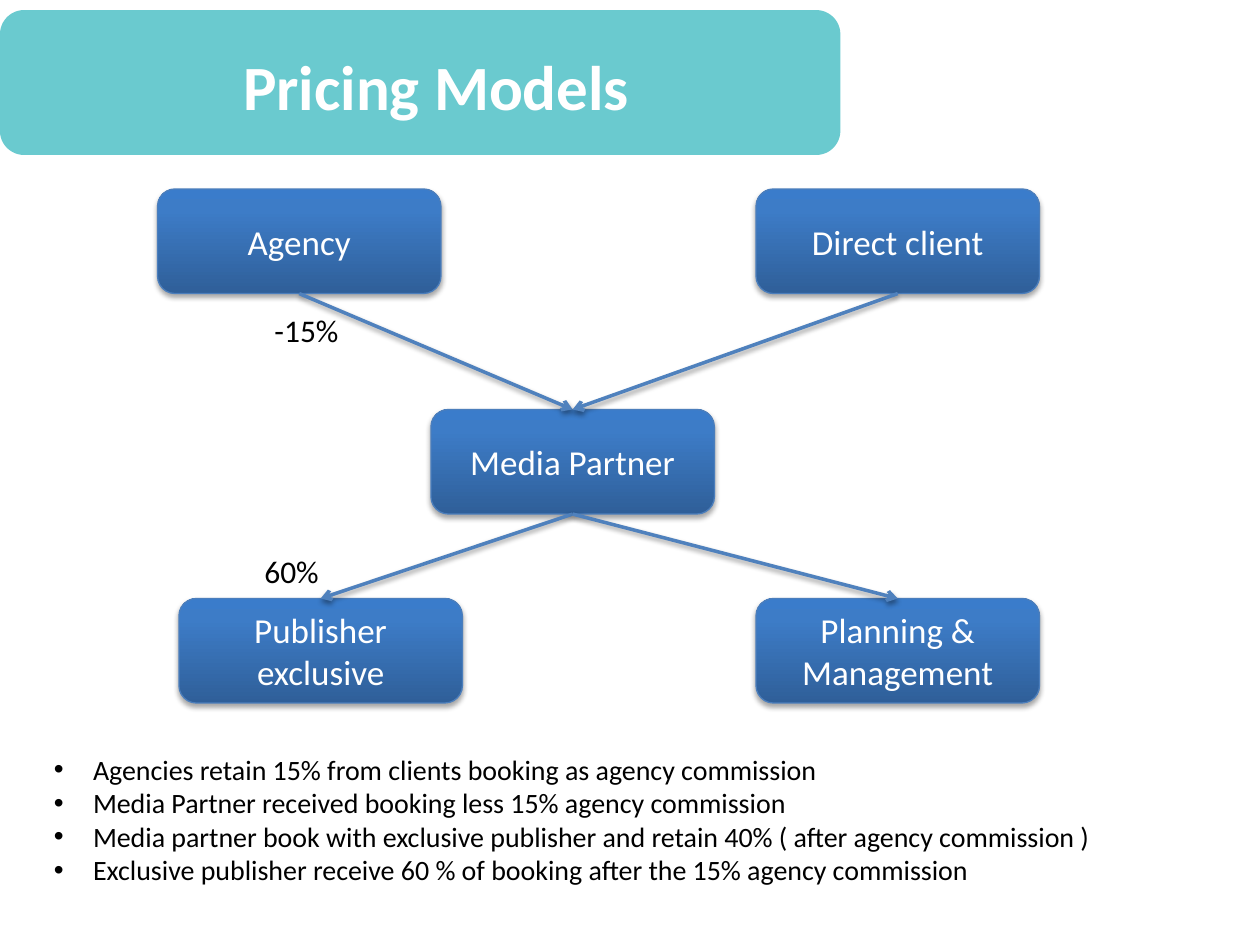
from copy import deepcopy

from lxml.etree import SubElement
from pptx import Presentation
from pptx.dml.color import RGBColor
from pptx.enum.shapes import MSO_CONNECTOR as Connector, MSO_SHAPE as Preset
from pptx.enum.text import MSO_ANCHOR as Anchor, PP_ALIGN as Align
from pptx.oxml.ns import qn
from pptx.util import Inches, Pt

FONT = "Calibri"
COLORS = {
    "banner": "6ACACF", "white": "FFFFFF", "black": "000000",
    "dark": "2F5F99", "middle": "3D7CC7", "light": "3A7CCB",
    "outline": "4B7EBC", "arrow": "4F81BD",
}
NODE_SIZE = (2.25, 0.83)
NODES = {
    "agency": ("Agency", 1.25, 1.5),
    "broker": ("Media Partner", 3.42, 3.25),
    "publisher": ("Publisher exclusive", 1.42, 4.75),
    "client": ("Direct client", 6, 1.5),
    "planning": ("Planning & Management", 6, 4.75),
}
FLOWS = [
    ("agency", "broker"), ("client", "broker"),
    ("broker", "publisher"), ("broker", "planning"),
]
RATES = [("-15%", 2.08, 2.42), ("60%", 2, 4.33)]
TERMS = [
    "Agencies retain 15% from clients booking as agency commission",
    "Media Partner received booking less 15% agency commission",
    "Media partner book with exclusive publisher and retain 40% ( after agency commission )",
    "Exclusive publisher receive 60 % of booking after the 15% agency commission",
]


def rgb(name):
    """Return a named colour."""
    return RGBColor.from_string(COLORS[name])


def style_text(frame, size, color, bold=False):
    """Format every run of a text frame."""
    for para in frame.paragraphs:
        for span in para.runs:
            span.font.name = FONT
            span.font.size = Pt(size)
            span.font.bold = bold
            span.font.color.rgb = rgb(color)


def add_shadow(properties, distance, opacity):
    """Give shape properties a soft shadow that falls straight down."""
    effects = properties.find(qn("a:effectLst"))
    if effects is None:
        effects = SubElement(properties, qn("a:effectLst"))
    shadow = SubElement(effects, qn("a:outerShdw"), blurRad=str(Pt(3.1)),
                        dist=str(Pt(distance)), dir="5400000", rotWithShape="0")
    color = SubElement(shadow, qn("a:srgbClr"), val=COLORS["black"])
    SubElement(color, qn("a:alpha"), val=str(opacity * 1000))


def fill_gradient(shape):
    """Fill a shape from dark at the bottom to light at the top."""
    shape.fill.gradient()
    shape.fill.gradient_angle = 90
    stop_list = shape.element.spPr.find(".//" + qn("a:gsLst"))
    stop_list.append(deepcopy(stop_list[-1]))
    stops = [(0, "dark"), (0.8, "middle"), (1, "light")]
    for stop, (position, color) in zip(shape.fill.gradient_stops, stops):
        stop.position = position
        stop.color.rgb = rgb(color)


def add_title(page, text):
    """Set the title on its rounded banner."""
    title = page.shapes.title
    banner = page.shapes.add_shape(Preset.ROUNDED_RECTANGLE, 0, Inches(0.08),
                                   Inches(6.67), Inches(1.15))
    banner.shadow.inherit = False
    banner.fill.solid()
    banner.fill.fore_color.rgb = rgb("banner")
    banner.line.fill.background()
    title.element.addprevious(banner.element)
    title.left, title.top = Inches(1.83), Inches(0.33)
    title.width, title.height = Inches(3.53), Inches(0.71)
    frame = title.text_frame
    frame.text = text
    frame.word_wrap = False
    frame.vertical_anchor = Anchor.TOP
    frame.paragraphs[0].alignment = Align.LEFT
    style_text(frame, 36, "white", bold=True)


def add_node(page, text, left, top):
    """Add one party of the flow as a rounded box."""
    node = page.shapes.add_shape(Preset.ROUNDED_RECTANGLE, Inches(left), Inches(top),
                                 *map(Inches, NODE_SIZE))
    fill_gradient(node)
    node.line.color.rgb = rgb("outline")
    node.line.width = Pt(0.75)
    node.shadow.inherit = False
    add_shadow(node.element.spPr, 1.8, 35)
    frame = node.text_frame
    frame.text = text
    frame.word_wrap = True
    frame.vertical_anchor = Anchor.MIDDLE
    frame.paragraphs[0].alignment = Align.CENTER
    style_text(frame, 20, "white")
    return node


def add_flow(page, source, target):
    """Join the bottom of one node to the top of another with an arrow."""
    flow = page.shapes.add_connector(Connector.STRAIGHT, 0, 0, 0, 0)
    flow.begin_connect(source, 2)
    flow.end_connect(target, 0)
    flow.line.color.rgb = rgb("arrow")
    flow.line.width = Pt(2)
    SubElement(flow.line._get_or_add_ln(), qn("a:tailEnd"), type="arrow")
    add_shadow(flow.element.spPr, 1.6, 38)


def add_text(page, lines, left, top, width, height, size):
    """Add a wrapped text box with one paragraph per line."""
    box = page.shapes.add_textbox(*map(Inches, (left, top, width, height)))
    frame = box.text_frame
    frame.word_wrap = True
    frame.text = "\n".join(lines)
    style_text(frame, size, "black")
    return box


def add_bullets(box):
    """Turn the paragraphs of a box into a bulleted list."""
    for para in box.text_frame.paragraphs:
        properties = para._p.get_or_add_pPr()
        properties.set("marL", str(Inches(0.31)))
        properties.set("indent", str(-Inches(0.31)))
        SubElement(properties, qn("a:buFont"), typeface="Arial")
        SubElement(properties, qn("a:buChar"), char="•")


def main():
    """Build the pricing models slide."""
    deck = Presentation()
    deck.slide_width, deck.slide_height = Inches(10), Inches(7.5)
    page = deck.slides.add_slide(deck.slide_layouts[5])
    add_title(page, "Pricing Models")
    nodes = {key: add_node(page, *node) for key, node in NODES.items()}
    for source, target in FLOWS:
        add_flow(page, nodes[source], nodes[target])
    add_bullets(add_text(page, TERMS, 0.33, 5.92, 8.92, 1.18, 16))
    for rate, left, top in RATES:
        add_text(page, [rate], left, top, 0.83, 0.4, 18)
    deck.save("out.pptx")


if __name__ == "__main__":
    main()
